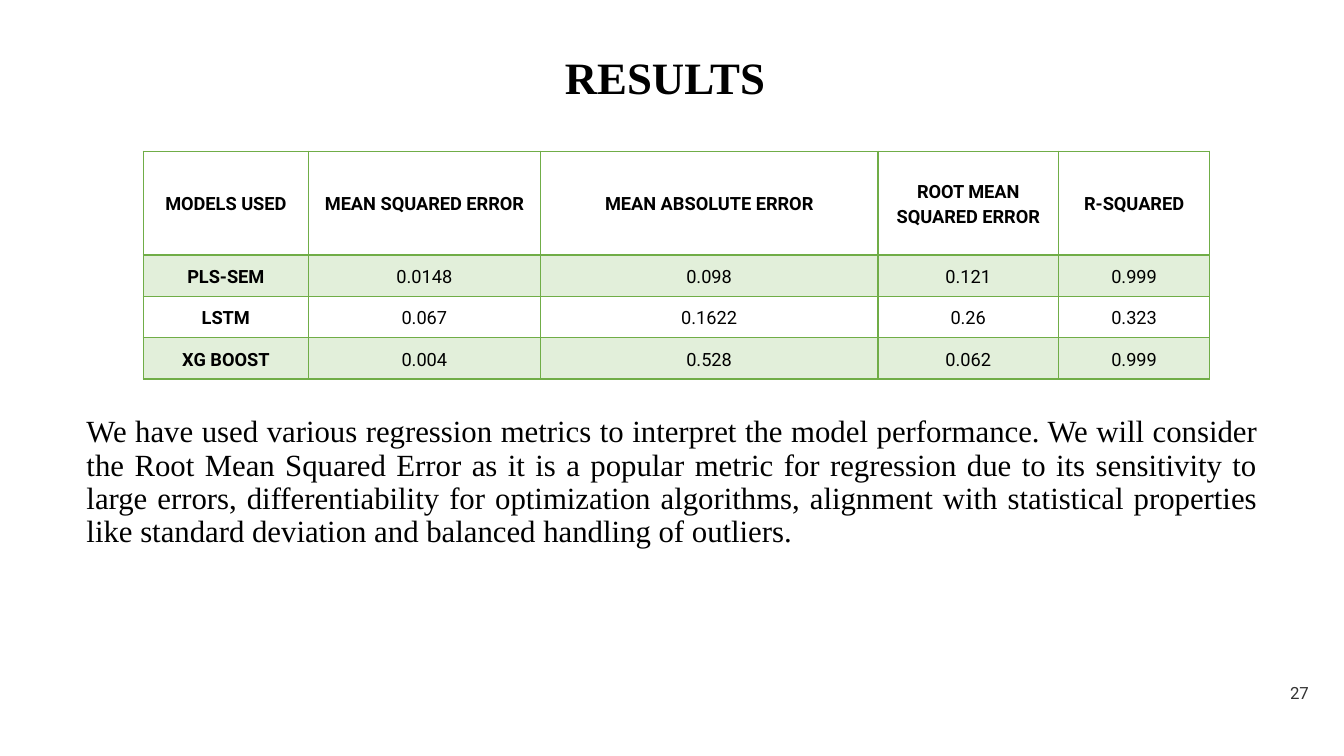
from dataclasses import dataclass

from lxml.etree import SubElement
from pptx import Presentation
from pptx.dml.color import RGBColor
from pptx.enum.text import MSO_ANCHOR, PP_ALIGN
from pptx.oxml.ns import qn
from pptx.util import Emu, Inches, Pt

SLIDE_WIDTH, SLIDE_HEIGHT = Inches(13.33), Inches(7.5)
COLOURS = {"ink": "000000", "page_number": "333333", "rule": "70AD47", "band": "E2EFDA"}


@dataclass(frozen=True)
class Style:
    font: str
    size: float
    align: PP_ALIGN
    bold: bool = False
    colour: str = "ink"
    line_spacing: float = 1.0
    space_after: float = 0


@dataclass(frozen=True)
class TextBlock:
    text: str
    left: float
    top: float
    width: float
    height: float
    anchor: MSO_ANCHOR
    style: Style


TEXT_BLOCKS = [
    TextBlock("27", 93.25, 88.93, 4.88, 5.33, MSO_ANCHOR.MIDDLE,
              Style("Roboto", 12, PP_ALIGN.RIGHT, colour="page_number", space_after=6)),
    TextBlock("RESULTS", 5.7, 5.73, 87.55, 9.73, MSO_ANCHOR.MIDDLE,
              Style("Times New Roman", 32, PP_ALIGN.CENTER, bold=True, line_spacing=0.9)),
    TextBlock(
        "We have used various regression metrics to interpret the model performance. "
        "We will consider the Root Mean Squared Error as it is a popular metric for regression "
        "due to its sensitivity to large errors, differentiability for optimization algorithms, "
        "alignment with statistical properties like standard deviation and balanced handling "
        "of outliers.",
        5.7, 54.4, 88.6, 34.4, MSO_ANCHOR.TOP,
        Style("Times New Roman", 22, PP_ALIGN.JUSTIFY, line_spacing=0.9, space_after=14)),
]

METRICS = [
    ("MODELS USED", "MEAN SQUARED ERROR", "MEAN ABSOLUTE ERROR",
     "ROOT MEAN SQUARED ERROR", "R-SQUARED"),
    ("PLS-SEM", "0.0148", "0.098", "0.121", "0.999"),
    ("LSTM", "0.067", "0.1622", "0.26", "0.323"),
    ("XG BOOST", "0.004", "0.528", "0.062", "0.999"),
]
TABLE_LEFT, TABLE_TOP = 10.65, 20
COLUMN_SHARES = [12.3, 17.25, 25.13, 13.43, 11.25]
ROW_SHARES = [13.73, 5.47, 5.47, 5.47]


def across(percent: float) -> Emu:
    return Emu(round(SLIDE_WIDTH * percent / 100))


def down(percent: float) -> Emu:
    return Emu(round(SLIDE_HEIGHT * percent / 100))


def write(frame, text: str, style: Style) -> None:
    paragraph = frame.paragraphs[0]
    paragraph.text = text
    paragraph.alignment = style.align
    paragraph.line_spacing = style.line_spacing
    paragraph.space_after = Pt(style.space_after)
    paragraph.font.name = style.font
    paragraph.font.size = Pt(style.size)
    paragraph.font.bold = style.bold
    paragraph.font.color.rgb = RGBColor.from_string(COLOURS[style.colour])


def add_text_block(slide, block: TextBlock) -> None:
    frame = slide.shapes.add_textbox(across(block.left), down(block.top),
                                     across(block.width), down(block.height)).text_frame
    frame.word_wrap = True
    frame.vertical_anchor = block.anchor
    write(frame, block.text, block.style)


def rule_cell(cell, top: float, bottom: float) -> None:
    properties = cell._tc.get_or_add_tcPr()
    for side, points in (("L", 1), ("R", 1), ("T", top), ("B", bottom)):
        border = SubElement(properties, qn(f"a:ln{side}"), w=str(Pt(points)))
        fill = SubElement(border, qn("a:solidFill"))
        SubElement(fill, qn("a:srgbClr"), val=COLOURS["rule"])


def add_metrics_table(slide) -> None:
    table = slide.shapes.add_table(
        len(METRICS), len(COLUMN_SHARES), across(TABLE_LEFT), down(TABLE_TOP),
        across(sum(COLUMN_SHARES)), down(sum(ROW_SHARES))).table
    table.first_row = table.horz_banding = False
    for column, share in zip(table.columns, COLUMN_SHARES):
        column.width = across(share)
    for row, share in zip(table.rows, ROW_SHARES):
        row.height = down(share)

    for r, record in enumerate(METRICS):
        for c, entry in enumerate(record):
            cell = table.cell(r, c)
            cell.margin_left = cell.margin_right = Inches(0.03)
            cell.margin_top = cell.margin_bottom = Inches(0.02)
            cell.vertical_anchor = MSO_ANCHOR.MIDDLE
            rule_cell(cell, top=2 if r == 1 else 1, bottom=2 if r == 0 else 1)
            if r % 2:
                cell.fill.solid()
                cell.fill.fore_color.rgb = RGBColor.from_string(COLOURS["band"])
            else:
                cell.fill.background()
            write(cell.text_frame, entry,
                  Style("Roboto", 13, PP_ALIGN.CENTER, bold=r == 0 or c == 0,
                        line_spacing=1.15, space_after=10))


def main() -> None:
    deck = Presentation()
    deck.slide_width, deck.slide_height = SLIDE_WIDTH, SLIDE_HEIGHT
    slide = deck.slides.add_slide(deck.slide_layouts[6])
    for block in TEXT_BLOCKS:
        add_text_block(slide, block)
    add_metrics_table(slide)
    deck.save("out.pptx")


if __name__ == "__main__":
    main()
